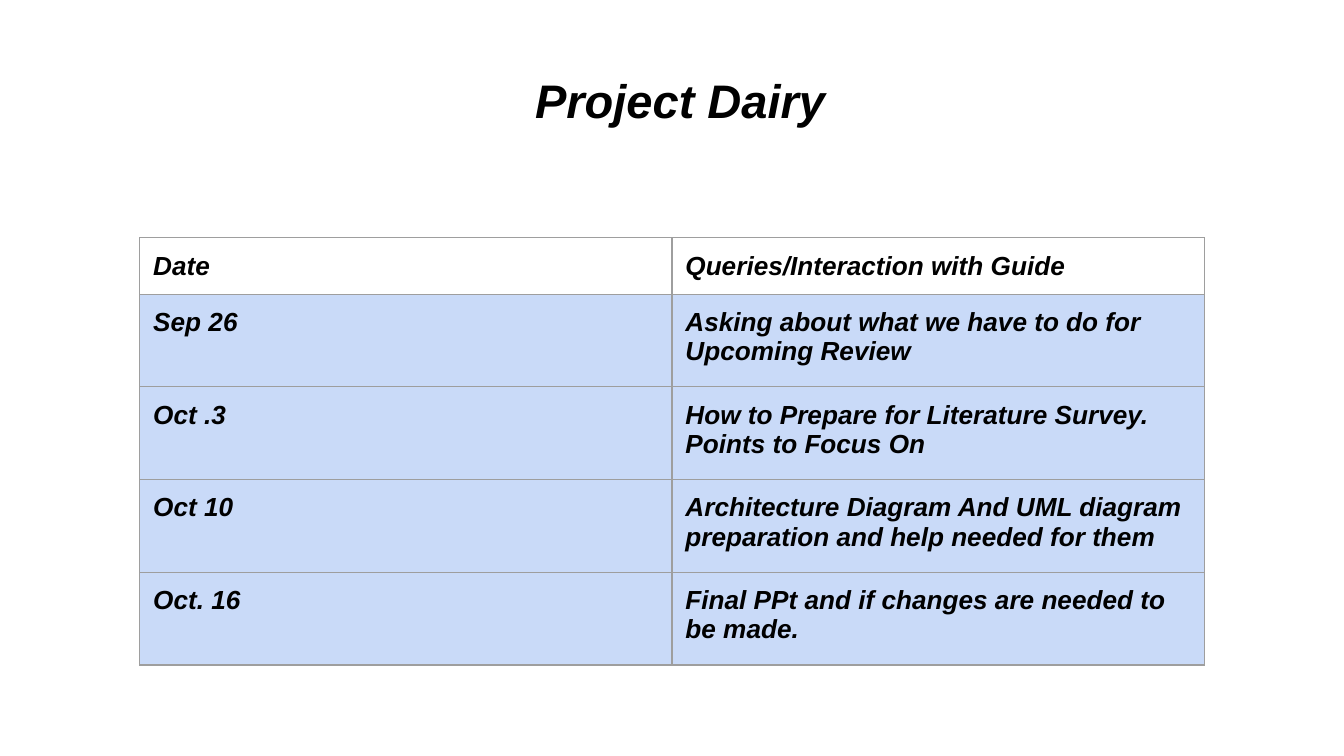
import pptx
import pptx.util
import pptx.dml.color
import pptx.enum.text
import pptx.oxml
import pptx.oxml.ns
import lxml.etree

Inches = pptx.util.Inches
RGB = pptx.dml.color.RGBColor.from_string
COLORS = {"text": "000000", "body": "C9DAF8", "border": "9E9E9E"}
FONT = {"name": "Arial", "bold": True, "italic": True}
INSETS = {f"margin_{side}": Inches(0.1) for side in ("left", "right", "top", "bottom")}
ENTRIES = [
    ("Date", "Queries/Interaction with Guide"),
    ("Sep 26", "Asking about what we have to do for Upcoming Review "),
    ("Oct .3", "How to Prepare for Literature Survey.\nPoints to Focus On"),
    ("Oct 10", "Architecture Diagram And UML diagram preparation and help needed for them"),
    ("Oct. 16", "Final PPt and if changes are needed to be made."),
]


def format_text(tf, size):
    for p in tf.paragraphs:
        for r in p.runs:
            for name, value in FONT.items():
                setattr(r.font, name, value)
            r.font.size = pptx.util.Pt(size)
            r.font.color.rgb = RGB(COLORS["text"])


def add_borders(cell):
    tc_pr = cell._tc.get_or_add_tcPr()
    for i, tag in enumerate(("a:lnL", "a:lnR", "a:lnT", "a:lnB")):
        ln = lxml.etree.Element(pptx.oxml.ns.qn(tag), w=str(pptx.util.Pt(0.75)))
        fill = lxml.etree.SubElement(ln, pptx.oxml.ns.qn("a:solidFill"))
        lxml.etree.SubElement(fill, pptx.oxml.ns.qn("a:srgbClr"), val=COLORS["border"])
        tc_pr.insert(i, ln)


prs = pptx.Presentation()
prs.slide_width = Inches(10)
prs.slide_height = prs.slide_width * 9 // 16
slide = prs.slides.add_slide(prs.slide_layouts[5])

title = slide.shapes.title
title.left, title.top = Inches(0.45), Inches(0.43)
title.width, title.height = Inches(9.32), Inches(0.63)
tf = title.text_frame
tf.text = "Project Dairy "
tf.word_wrap = True
tf.auto_size = pptx.enum.text.MSO_AUTO_SIZE.NONE
tf.vertical_anchor = pptx.enum.text.MSO_ANCHOR.MIDDLE
for name, value in INSETS.items():
    setattr(tf, name, value)
tf.paragraphs[0].alignment = pptx.enum.text.PP_ALIGN.CENTER
format_text(tf, 25.2)

col_width, header_height, row_height = 3.96, 0.41, 0.69
height = header_height + row_height * (len(ENTRIES) - 1)
table = slide.shapes.add_table(
    len(ENTRIES), 2, Inches(1.04), Inches(1.77), Inches(2 * col_width), Inches(height)
).table
for col in table.columns:
    col.width = Inches(col_width)

for i, entry in enumerate(ENTRIES):
    table.rows[i].height = Inches(row_height if i else header_height)
    for j, text in enumerate(entry):
        cell = table.cell(i, j)
        cell.text = text
        for name, value in INSETS.items():
            setattr(cell, name, value)
        if i:
            cell.fill.solid()
            cell.fill.fore_color.rgb = RGB(COLORS["body"])
        else:
            cell.fill.background()
        format_text(cell.text_frame, 14)
        add_borders(cell)

prs.save("out.pptx")
